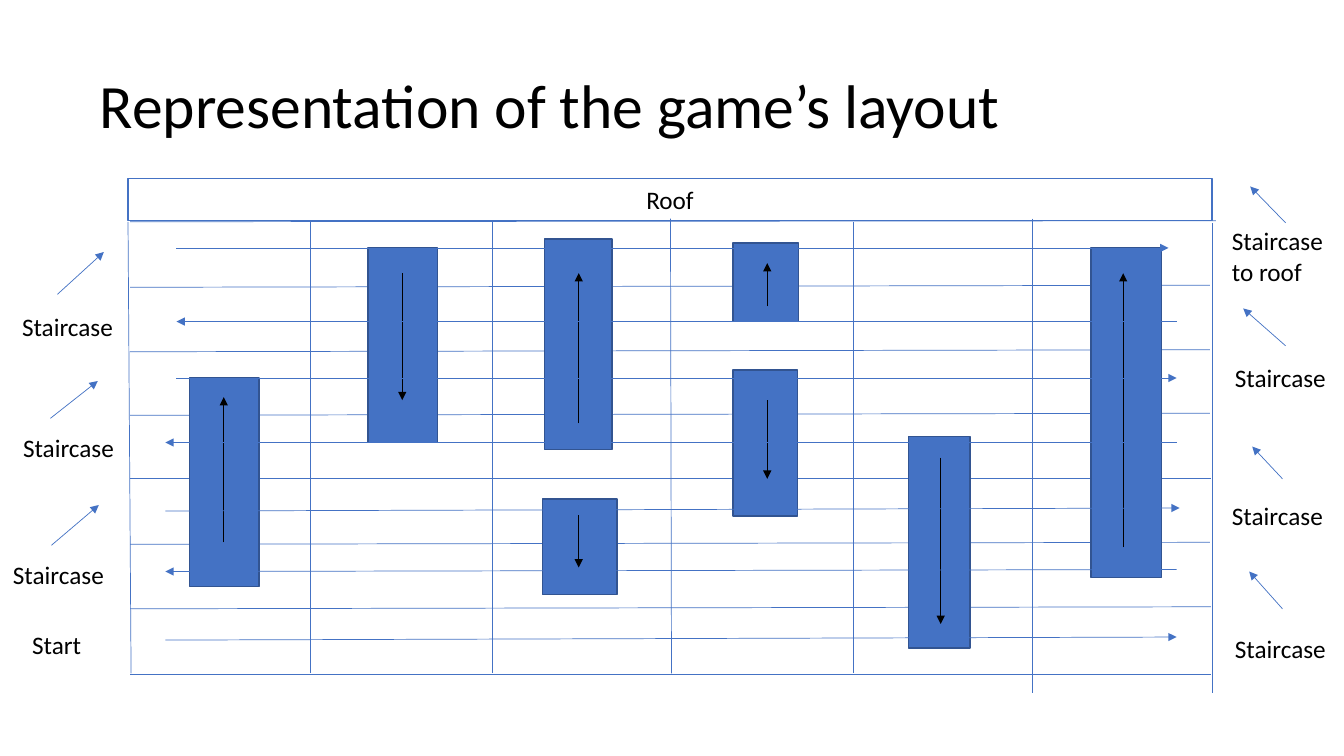
from pptx import Presentation
from pptx import util as u
from pptx.dml.color import RGBColor
from pptx.enum import shapes, text
from pptx.oxml.ns import qn
from lxml import etree

FONT = "Calibri"
BLUE, EDGE, BLACK = "4472C4", "325491", "000000"

# Building grid: (x top, y top, x bottom, y bottom) and (y left, y right, x right)
WALLS = [(1.27, 2.2, 1.3, 6.68), (3.08, 2.2, 3.08, 6.68), (4.88, 2.2, 4.88, 6.68),
         (6.65, 2.17, 6.66, 6.68), (8.46, 2.2, 8.46, 6.68),
         (10.24, 2.17, 10.24, 6.88), (12.02, 2.21, 12.02, 6.88)]
FLOOR_LEFT = 1.29
FLOORS = [(6.04, 6.02, 12.01), (6.69, 6.69, 12.01), (5.4, 5.38, 12), (4.12, 4.1, 12),
          (4.75, 4.75, 12.01), (3.49, 3.47, 12), (2.85, 2.83, 12), (2.2, 2.19, 12.06)]

# Elevators: block (left, top, width, height), then arrow (x, y start, y end)
ELEVATORS = [((1.88, 3.75, 0.69, 2.07), (2.22, 5.38, 3.94)),
             ((3.65, 2.46, 0.69, 1.93), (3.99, 2.71, 3.97)),
             ((5.38, 4.95, 0.74, 0.95), (5.74, 5.11, 5.63)),
             ((7.27, 3.67, 0.64, 1.45), (7.61, 3.97, 4.75)),
             ((7.27, 2.41, 0.65, 0.78), (7.61, 3.04, 2.61)),
             ((5.4, 2.37, 0.67, 2.09), (5.74, 4.2, 2.71)),
             ((9.01, 4.33, 0.61, 2.1), (9.33, 4.54, 6.19)),
             ((10.82, 2.46, 0.7, 3.27), (11.14, 5.43, 2.71))]

# Walking direction on each floor, from the ground up
ROUTES = [(1.64, 6.35, 11.67, 6.32), (11.67, 5.65, 1.64, 5.67), (1.64, 5.07, 11.7, 5.04),
          (11.67, 4.39, 1.64, 4.39), (1.75, 3.75, 11.67, 3.75),
          (11.67, 3.19, 1.75, 3.19), (1.75, 2.46, 11.59, 2.46)]

# Staircases: label, label place, arrow ends
STAIRCASES = [("Staircase", (12.15, 6.23, 1.13, 0.4), (12.72, 6.04, 12.39, 5.67)),
              ("Staircase", (0.03, 5.5, 1.11, 0.4), (0.51, 5.41, 0.98, 5.01)),
              ("Staircase", (12.12, 4.91, 1.15, 0.4), (12.72, 4.75, 12.42, 4.43)),
              ("Staircase", (0.13, 4.24, 1.25, 0.4), (0.5, 4.15, 0.97, 3.78)),
              ("Staircase", (12.15, 3.55, 1.17, 0.4), (12.75, 3.43, 12.33, 3.06)),
              ("Staircase", (0.12, 3.04, 1.18, 0.4), (0.57, 2.92, 1.03, 2.5)),
              ("Staircase to roof", (12.12, 2.19, 1.15, 0.71), (12.75, 2.21, 12.4, 1.85))]


def color(value):
    return RGBColor.from_string(value)


def inches(values):
    return [u.Inches(value) for value in values]


def write(box, words, size, align=text.PP_ALIGN.LEFT, anchor=text.MSO_ANCHOR.TOP):
    frame = box.text_frame
    frame.word_wrap = True
    frame.vertical_anchor = anchor
    para = frame.paragraphs[0]
    para.alignment = align
    span = para.add_run()
    span.text = words
    span.font.name = FONT
    span.font.size = u.Pt(size)
    span.font.color.rgb = color(BLACK)
    return para


def add_label(page, words, place, size=18, anchor=text.MSO_ANCHOR.TOP):
    box = page.shapes.add_textbox(*inches(place))
    return write(box, words, size, anchor=anchor)


def add_line(page, ends, hue=BLUE, arrow=False):
    line = page.shapes.add_connector(shapes.MSO_CONNECTOR.STRAIGHT, *inches(ends))
    line.line.color.rgb = color(hue)
    line.line.width = u.Pt(0.5)
    if arrow:
        stroke = line.line._get_or_add_ln()
        etree.SubElement(stroke, qn("a:tailEnd")).set("type", "triangle")
    etree.SubElement(line._element.spPr, qn("a:effectLst"))


def add_block(page, place, edge, fill=None):
    box = page.shapes.add_shape(shapes.MSO_SHAPE.RECTANGLE, *inches(place))
    box.shadow.inherit = False
    if fill:
        box.fill.solid()
        box.fill.fore_color.rgb = color(fill)
    else:
        box.fill.background()
    box.line.color.rgb = color(edge)
    box.line.width = u.Pt(1)
    return box


def main():
    deck = Presentation()
    deck.slide_width, deck.slide_height = inches((13.33, 7.5))
    page = deck.slides.add_slide(deck.slide_layouts[6])

    # Title
    title = add_label(page, "Representation of the game’s layout",
                      (0.89, 0.35, 11.5, 1.45), 44, text.MSO_ANCHOR.MIDDLE)
    title.line_spacing = 0.9

    # Walls and floors
    for wall in WALLS:
        add_line(page, wall)
    for y_left, y_right, right in FLOORS:
        add_line(page, (FLOOR_LEFT, y_left, right, y_right))
    add_label(page, "Start", (0.22, 6.19, 0.94, 0.4))

    # Elevators, then their directions
    for place, _ in ELEVATORS:
        add_block(page, place, EDGE, BLUE)
    for _, (x, start, end) in ELEVATORS:
        add_line(page, (x, start, x, end), BLACK, arrow=True)

    # Routes along the floors
    for route in ROUTES:
        add_line(page, route, arrow=True)

    # Staircases
    for words, place, ends in STAIRCASES:
        add_label(page, words, place)
        add_line(page, ends, arrow=True)

    # Roof
    roof = add_block(page, (1.27, 1.77, 10.75, 0.42), BLUE)
    write(roof, "Roof", 18, text.PP_ALIGN.CENTER, text.MSO_ANCHOR.MIDDLE)

    deck.save("out.pptx")


main()
